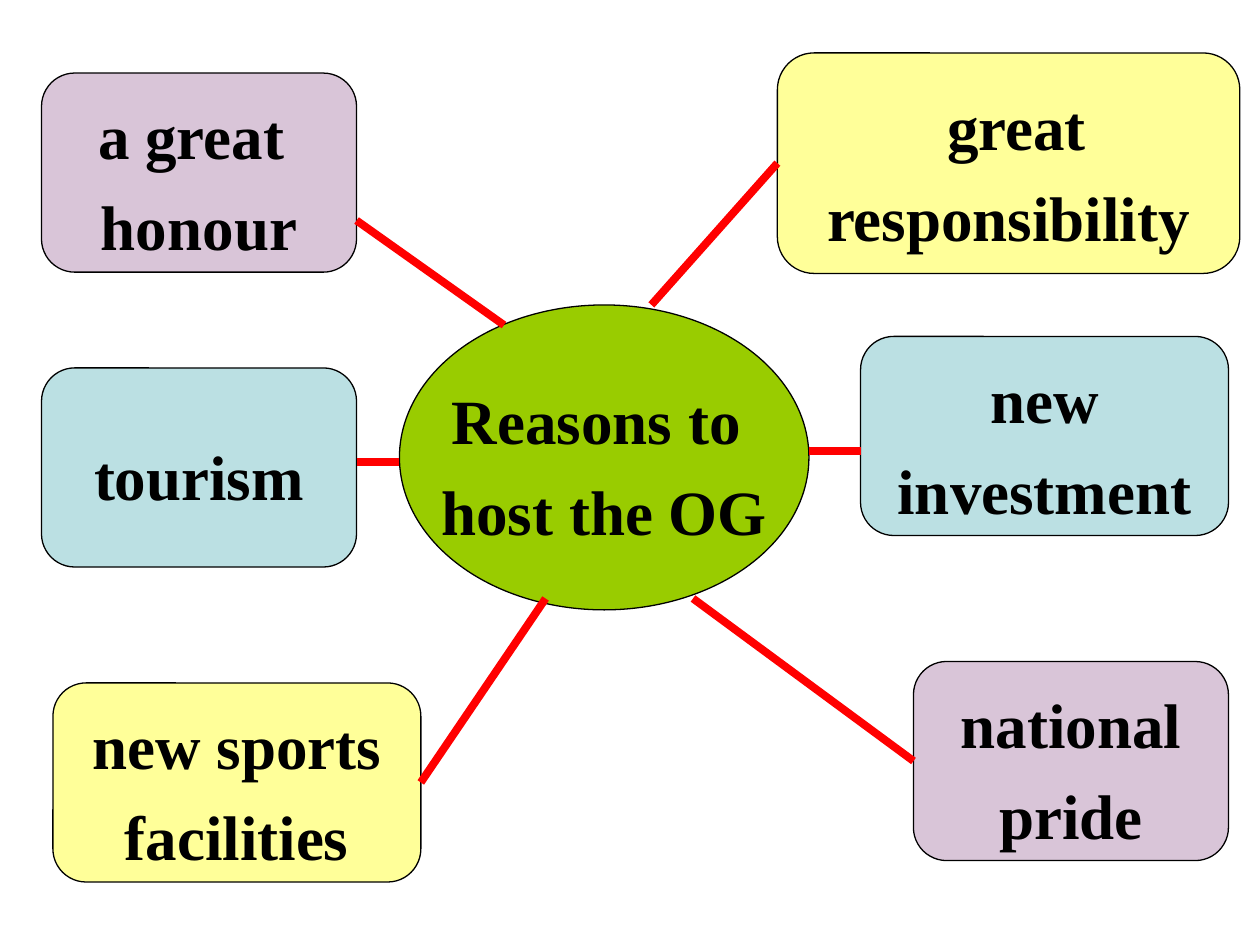
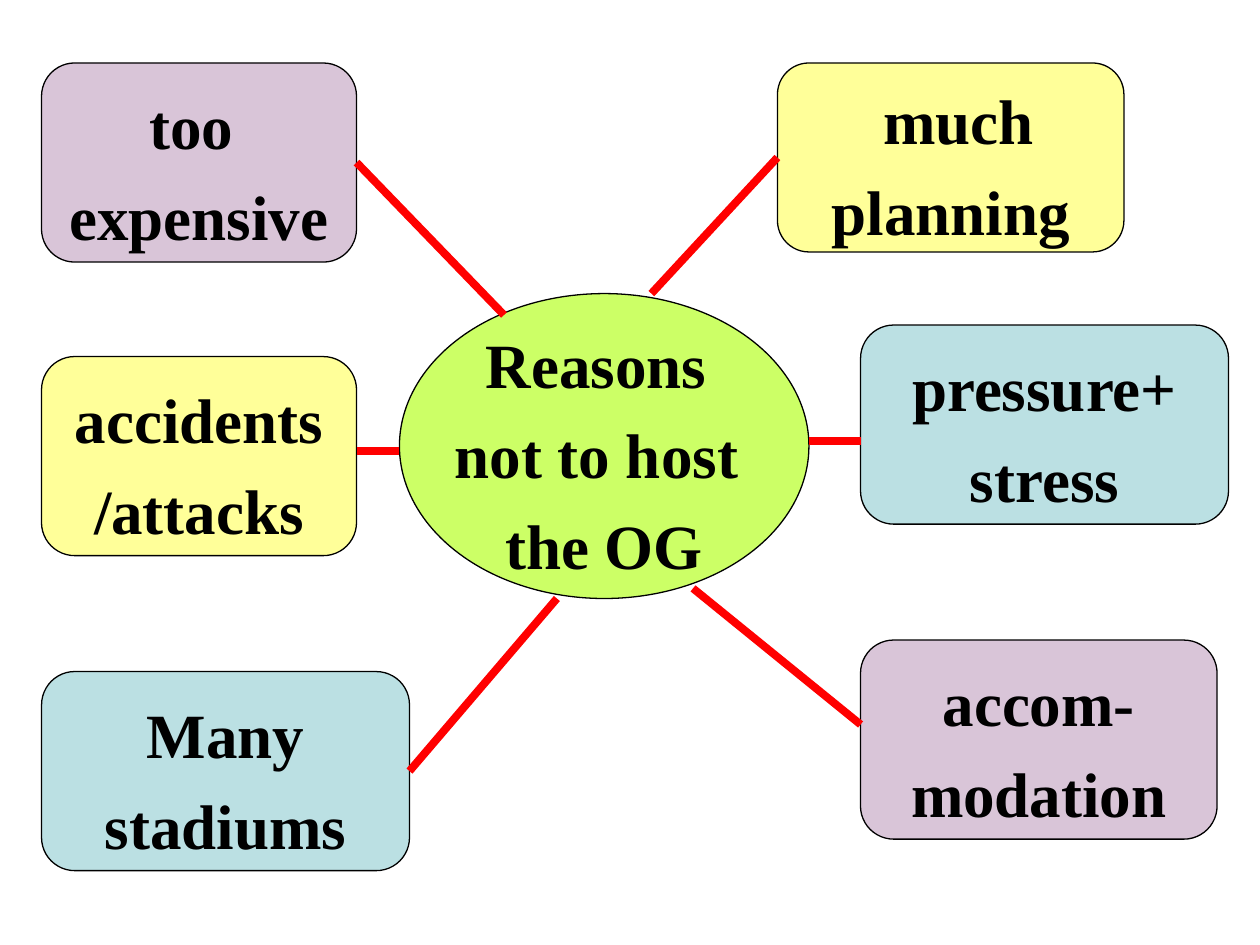
import pptx
import pptx.util
import pptx.dml.color
import pptx.enum.shapes
import pptx.enum.text
import pptx.oxml.ns
import lxml.etree

Inches = pptx.util.Inches
SHAPES = pptx.enum.shapes.MSO_SHAPE
COLORS = {
    "green": "99CC00", "lime": "CCFF66", "yellow": "FFFF99",
    "mauve": "D9C5D8", "aqua": "BBE0E3", "link": "FF0000", "ink": "000000",
}
LEFT_SIDE, RIGHT_SIDE = 1, 3  # connection sites
HUB_LEFT, HUB_WIDTH, HUB_HEIGHT = 3.17, 3.25, 2.42


def rgb(name):
    return pptx.dml.color.RGBColor.from_string(COLORS[name])


def add_bubble(slide, kind, box, fill, lines):
    bubble = slide.shapes.add_shape(kind, *[Inches(length) for length in box])
    bubble.shadow.inherit = False
    bubble.fill.solid()
    bubble.fill.fore_color.rgb = rgb(fill)
    bubble.line.color.rgb = rgb("ink")
    bubble.line.width = pptx.util.Pt(0.75)
    frame = bubble.text_frame
    frame.word_wrap = False
    frame.vertical_anchor = pptx.enum.text.MSO_ANCHOR.MIDDLE
    for index, line in enumerate(lines):
        paragraph = frame.add_paragraph() if index else frame.paragraphs[0]
        paragraph.alignment = pptx.enum.text.PP_ALIGN.CENTER
        paragraph.line_spacing = 1.2
        run = paragraph.add_run()
        run.text = line
        run.font.name = "Times New Roman"
        run.font.size = pptx.util.Pt(36)
        run.font.bold = True
        run.font.color.rgb = rgb("ink")
    return bubble


# Each reason: box, fill, lines, height of the link at the box, link end at the hub
mind_maps = [
    {
        "hub": (2.42, "green", ["Reasons to ", "host the OG"]),
        "reasons": [
            ((6.17, 0.42, 3.67, 1.75), "yellow", [" great", "responsibility"], 1.33, (5.17, 2.42)),
            ((0.33, 0.58, 2.5, 1.58), "mauve", ["a great ", "honour"], 1.75, (4, 2.58)),
            ((0.33, 2.92, 2.5, 1.58), "aqua", ["tourism"], 3.67, (3.17, 3.67)),
            ((0.42, 5.42, 2.92, 1.58), "yellow", ["new sports", "facilities"], 6.25, (4.33, 4.75)),
            ((7.25, 5.25, 2.5, 1.58), "mauve", ["national", "pride"], 6, (5.5, 4.75)),
            ((6.83, 2.67, 2.92, 1.58), "aqua", ["new", "investment"], 3.58, (6.42, 3.58)),
        ],
    },
    {
        "hub": (2.33, "lime", ["Reasons ", "not to host ", "the OG"]),
        "reasons": [
            ((6.17, 0.5, 2.75, 1.5), "yellow", [" much", "planning"], 1.25, (5.17, 2.33)),
            ((0.33, 0.5, 2.5, 1.58), "mauve", ["too ", "expensive"], 1.33, (4, 2.5)),
            ((0.33, 2.83, 2.5, 1.58), "yellow", ["accidents", "/attacks"], 3.58, (3.17, 3.58)),
            ((0.33, 5.33, 2.92, 1.58), "aqua", ["Many", "stadiums"], 6.08, (4.42, 4.75)),
            ((6.83, 5.08, 2.83, 1.58), "mauve", ["accom-", "modation"], 5.75, (5.5, 4.67)),
            ((6.83, 2.58, 2.92, 1.58), "aqua", ["pressure+", "stress"], 3.5, (6.42, 3.5)),
        ],
    },
]

deck = pptx.Presentation()
deck.slide_width, deck.slide_height = Inches(10), Inches(7.5)

for mind_map in mind_maps:
    slide = deck.slides.add_slide(deck.slide_layouts[6])

    # Central topic
    hub_top, hub_fill, hub_lines = mind_map["hub"]
    hub_box = (HUB_LEFT, hub_top, HUB_WIDTH, HUB_HEIGHT)
    add_bubble(slide, SHAPES.FLOWCHART_CONNECTOR, hub_box, hub_fill, hub_lines)

    # Reasons around it, each with its link
    for box, fill, lines, link_y, (hub_x, hub_y) in mind_map["reasons"]:
        reason = add_bubble(slide, SHAPES.FLOWCHART_ALTERNATE_PROCESS, box, fill, lines)
        left, top, width, height = box
        side = LEFT_SIDE if left > hub_x else RIGHT_SIDE
        link_x = left if side == LEFT_SIDE else left + width
        link = slide.shapes.add_connector(
            pptx.enum.shapes.MSO_CONNECTOR.STRAIGHT,
            Inches(link_x), Inches(link_y), Inches(hub_x), Inches(hub_y))
        # Join slanted links that meet the middle of the side
        if link_y != hub_y and abs(top + height / 2 - link_y) < 0.05:
            link.begin_connect(reason, side)
        link.line.color.rgb = rgb("link")
        link.line.width = pptx.util.Pt(4.5)
        lxml.etree.SubElement(link._element.spPr, pptx.oxml.ns.qn("a:effectLst"))

deck.save("out.pptx")
